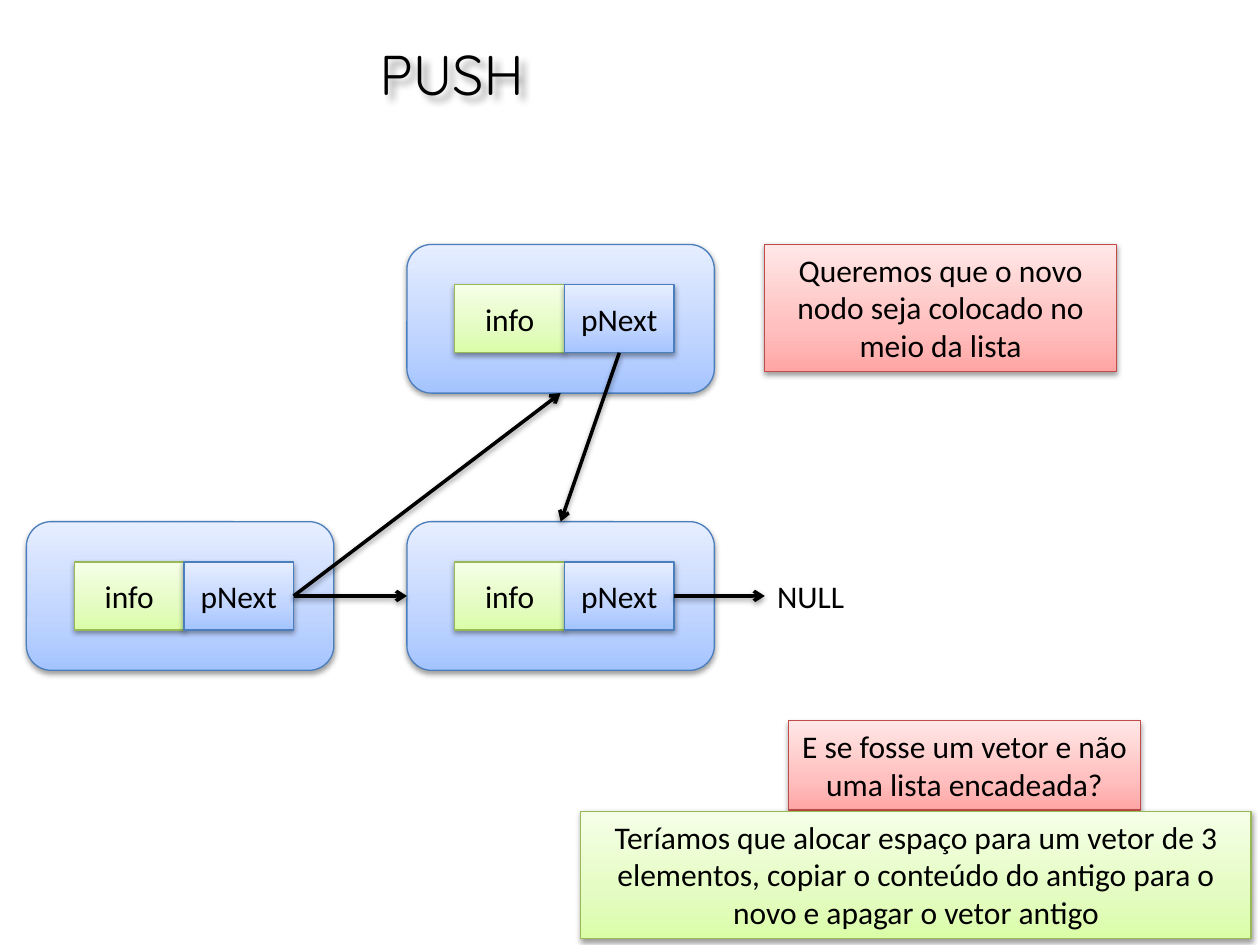
from lxml.etree import SubElement
from pptx import Presentation
from pptx.dml.color import RGBColor
from pptx.enum.shapes import MSO_CONNECTOR, MSO_SHAPE
from pptx.enum.text import MSO_ANCHOR, PP_ALIGN
from pptx.oxml.ns import qn
from pptx.util import Inches, Pt

THEME = {
    "ink": "000000",
    "font": "Calibri", "size": 18,
    "head_font": "Quicksand", "head_size": 32,
    "edge": 0.75, "arrow": 2,
    # line colour, then gradient colours from bottom to top
    "blue": ("4B7EBC", ("A4C4FF", "BFD4FF", "E6EEFF")),
    "green": ("98B955", ("DAFDA7", "E4FCC2", "F5FFE7")),
    "red": ("BF4C48", ("FFA6A5", "FFC0BF", "FFE7E7")),
    "stops": (0, 35, 100),
    "shade": (3.15, 1.57, 90, 38),       # blur, distance, angle, opacity
    "head_shade": (4, 4, 45, 40),
}

COLS = (0.21, 3.23, 6.07)
ROWS = (1.94, 4.14)
NODE = (2.44, 1.18)
CELL = (0.87, 0.54)

TITLE = ("PUSH", (0, 0.16, 7.17, 0.84))
END = "NULL"
FIELDS = (("info", "green"), ("pNext", "blue"))
NODES = {"first": (0, 1), "last": (1, 1), "new": (1, 0)}   # column, row
NOTES = (
    ("Queremos que o novo nodo seja colocado no meio da lista",
     "red", (COLS[2], ROWS[0], 2.79, 1.01)),
    ("E se fosse um vetor e não uma lista encadeada?",
     "red", (6.26, 5.72, 2.79, 0.71)),
    ("Teríamos que alocar espaço para um vetor de 3 elementos, copiar o "
     "conteúdo do antigo para o novo e apagar o vetor antigo",
     "green", (4.61, 6.44, 5.32, 1.01)),
)


def rgb(name):
    return RGBColor.from_string(name)


def shade(item, spec_key="shade"):
    blur, dist, angle, alpha = THEME[spec_key]
    effects = SubElement(item._element.spPr, qn("a:effectLst"))
    outer = SubElement(effects, qn("a:outerShdw"), blurRad=str(Pt(blur)),
                       dist=str(Pt(dist)), dir=str(angle * 60000),
                       rotWithShape="0")
    color = SubElement(outer, qn("a:srgbClr"), val=THEME["ink"])
    SubElement(color, qn("a:alpha"), val=str(alpha * 1000))


def write(shape, text, align=PP_ALIGN.CENTER, font="font", size="size",
          anchor=MSO_ANCHOR.MIDDLE, wrap=True):
    frame = shape.text_frame
    frame.word_wrap = wrap
    frame.vertical_anchor = anchor
    para = frame.paragraphs[0]
    para.text = text
    para.alignment = align
    para.font.name = THEME[font]
    para.font.size = Pt(THEME[size])
    para.font.color.rgb = rgb(THEME["ink"])


def block(slide, kind, box, tone):
    """Add a shape with the gradient, edge and shadow of the given tone."""
    shape = slide.shapes.add_shape(kind, *map(Inches, box))
    edge, colors = THEME[tone]
    shape.fill.gradient()
    shape.fill.gradient_angle = 90
    stops = shape._element.spPr.find(qn("a:gradFill")).find(qn("a:gsLst"))
    stops.clear()
    for pos, color in zip(THEME["stops"], colors):
        stop = SubElement(stops, qn("a:gs"), pos=str(pos * 1000))
        SubElement(stop, qn("a:srgbClr"), val=color)
    shape.line.color.rgb = rgb(edge)
    shape.line.width = Pt(THEME["edge"])
    shade(shape)
    return shape


def node(slide, col, row):
    """Draw a list node and return the points where arrows meet it."""
    left, top = COLS[col], ROWS[row]
    wide, high = NODE
    cell_w, cell_h = CELL
    block(slide, MSO_SHAPE.ROUNDED_RECTANGLE, (left, top, wide, high), "blue")
    x = left + 0.38
    y = top + (high - cell_h) / 2
    for i, (text, tone) in enumerate(FIELDS):
        cell = block(slide, MSO_SHAPE.RECTANGLE,
                     (x + i * cell_w, y, cell_w, cell_h), tone)
        write(cell, text)
    mid = top + high / 2
    return {
        "left": (left, mid),
        "top": (left + wide / 2, top),
        "bottom": (left + wide / 2, top + high),
        "next": (x + 2 * cell_w, mid),
        "under": (x + 1.5 * cell_w, y + cell_h),
    }


def arrow(slide, start, stop):
    line = slide.shapes.add_connector(MSO_CONNECTOR.STRAIGHT,
                                      *map(Inches, start + stop))
    line.line.color.rgb = rgb(THEME["ink"])
    line.line.width = Pt(THEME["arrow"])
    SubElement(line.line._get_or_add_ln(), qn("a:tailEnd"), type="arrow")
    shade(line)


def main():
    deck = Presentation()
    deck.slide_width, deck.slide_height = Inches(10), Inches(7.5)
    slide = deck.slides.add_slide(deck.slide_layouts[6])

    text, box = TITLE
    title = slide.shapes.add_textbox(*map(Inches, box))
    write(title, text, font="head_font", size="head_size")
    shade(title, "head_shade")

    ports = {name: node(slide, *place) for name, place in NODES.items()}
    first, last, new = (ports[name] for name in NODES)
    end = (COLS[2], last["next"][1])
    for start, stop in ((first["next"], last["left"]),
                        (last["next"], end),
                        (first["next"], new["bottom"]),
                        (new["under"], last["top"])):
        arrow(slide, start, stop)

    null = slide.shapes.add_textbox(Inches(end[0]), Inches(end[1] - 0.2),
                                    Inches(0.74), Inches(0.4))
    write(null, END, PP_ALIGN.LEFT, anchor=MSO_ANCHOR.TOP, wrap=False)

    for text, tone, box in NOTES:
        note = block(slide, MSO_SHAPE.RECTANGLE, box, tone)
        write(note, text, anchor=MSO_ANCHOR.TOP)

    deck.save("out.pptx")


if __name__ == "__main__":
    main()
